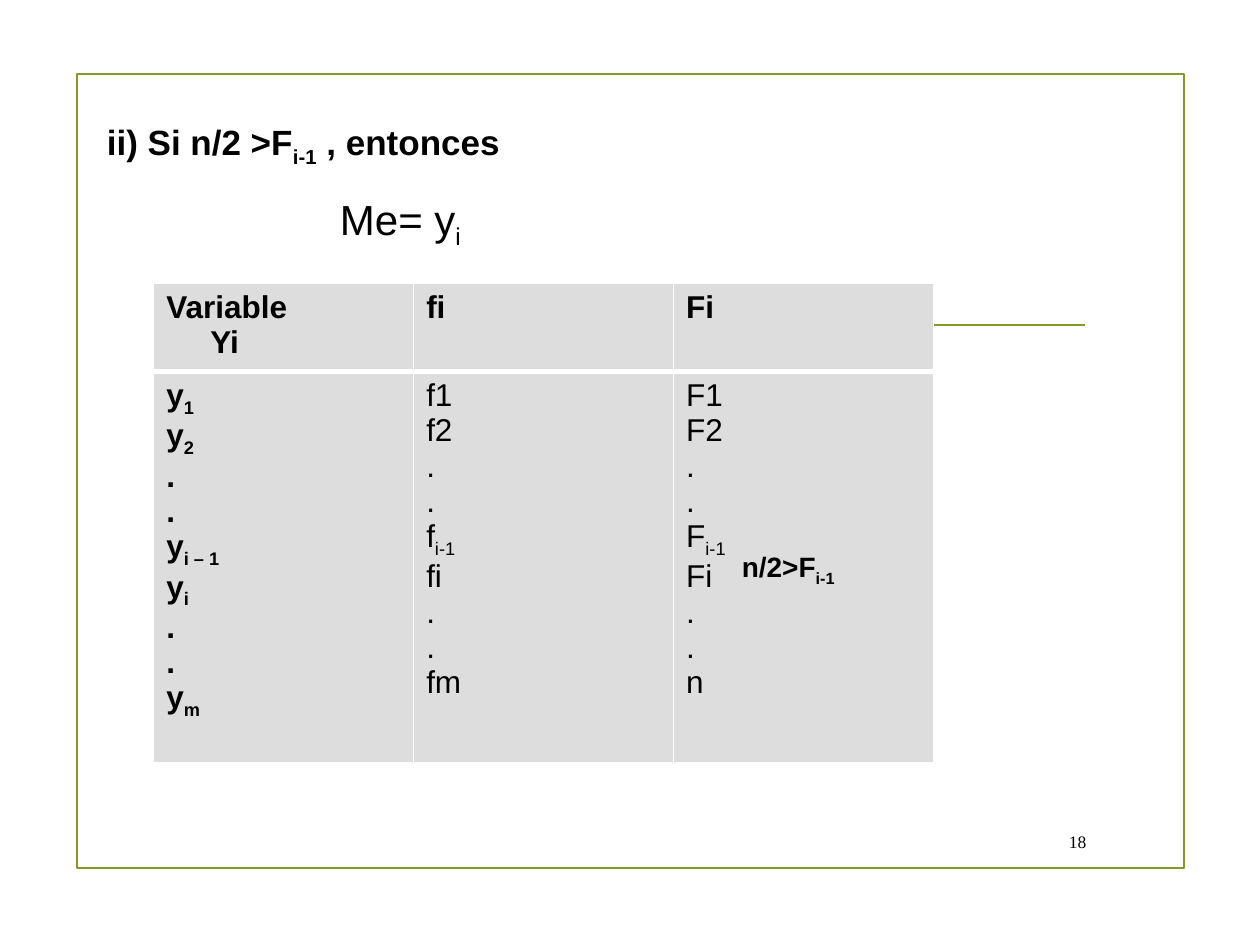
import pptx
import pptx.dml.color
import pptx.enum.shapes
import pptx.enum.text
import pptx.oxml
import pptx.util
from lxml import etree
from pptx.util import Inches

GREEN, BLACK, GREY, WHITE = "83992A", "000000", "DDDDDD", "FFFFFF"
DRAWING_NS = "http://schemas.openxmlformats.org/drawingml/2006/main"

HEADERS = [["Variable", "Yi"], ["fi"], ["Fi"]]
COLUMNS = [
    ["y_1", "y_2", ".", ".", "y_i – 1", "y_i", ".", ".", "y_m"],
    ["f1", "f2", ".", ".", "f_i-1", "fi", ".", ".", "fm"],
    ["F1", "F2", ".", ".", "F_i-1", "Fi", ".", ".", "n"],
]


def rgb(value):
    return pptx.dml.color.RGBColor.from_string(value)


def write_para(para, text, size, bold=False, font="Arial"):
    """Fill a paragraph; pieces between underscores become subscripts."""
    para.font.name = font
    para.font.size = pptx.util.Pt(size)
    para.font.bold = bold
    para.font.color.rgb = rgb(BLACK)
    for index, piece in enumerate(text.split("_")):
        span = para.add_run()
        span.text = piece
        if index % 2:
            span._r.get_or_add_rPr().set("baseline", "-25000")


def write_lines(frame, lines, size, bold=False):
    for index, line in enumerate(lines):
        para = frame.add_paragraph() if index else frame.paragraphs[0]
        write_para(para, line, size, bold)


def indent(para, length):
    properties = para._p.get_or_add_pPr()
    properties.set("marL", str(length))
    properties.set("indent", "0")


def add_text_box(page, left, top, width, height, wrap=True):
    box = page.shapes.add_textbox(Inches(left), Inches(top), Inches(width), Inches(height))
    box.text_frame.word_wrap = wrap
    return box.text_frame


def add_frame(page):
    frame = page.shapes.add_shape(
        pptx.enum.shapes.MSO_SHAPE.RECTANGLE,
        Inches(0.61), Inches(0.59), Inches(8.79), Inches(6.3))
    frame.shadow.inherit = False
    frame.fill.background()
    frame.line.color.rgb = rgb(GREEN)
    frame.line.width = pptx.util.Pt(1.25)


def add_rule(page):
    rule = page.shapes.add_connector(
        pptx.enum.shapes.MSO_CONNECTOR.STRAIGHT,
        Inches(1.4), Inches(2.58), Inches(8.61), Inches(2.58))
    rule.line.color.rgb = rgb(GREEN)
    rule.line.width = pptx.util.Pt(1.25)
    etree.SubElement(rule._element.spPr, f"{{{DRAWING_NS}}}effectLst")


def style_cell(cell, top, bottom):
    """Draw white borders, then the grey fill that must follow them."""
    properties = cell._tc.get_or_add_tcPr()
    for side, points in (("L", 1), ("R", 1), ("T", top), ("B", bottom)):
        properties.append(pptx.oxml.parse_xml(
            f'<a:ln{side} xmlns:a="{DRAWING_NS}" w="{pptx.util.Pt(points)}">'
            f'<a:solidFill><a:srgbClr val="{WHITE}"/></a:solidFill></a:ln{side}>'))
    cell.fill.solid()
    cell.fill.fore_color.rgb = rgb(GREY)


def add_frequency_table(page):
    table = page.shapes.add_table(
        2, 3, Inches(1.22), Inches(2.25), Inches(6.19), Inches(3.8)).table
    table.first_row = table.horz_banding = False
    table.rows[0].height = Inches(0.7)
    table.rows[1].height = Inches(3.1)
    for column, (header, values) in enumerate(zip(HEADERS, COLUMNS)):
        head, body = table.cell(0, column), table.cell(1, column)
        style_cell(head, top=1, bottom=3)
        style_cell(body, top=3, bottom=1)
        write_lines(head.text_frame, header, 18, bold=True)
        write_lines(body.text_frame, values, 18, bold=column == 0)
    indent(table.cell(0, 0).text_frame.paragraphs[1], Inches(0.35))


def add_statement(page):
    frame = add_text_box(page, 0.75, 0.91, 8.43, 1.2)
    condition, result = frame.paragraphs[0], frame.add_paragraph()
    write_para(condition, "ii) Si n/2 >F_i-1_ , entonces", 20, bold=True)
    write_para(result, "Me= y_i", 24)
    indent(result, Inches(1.85))
    for para, before in ((condition, 3), (result, 8)):
        para.space_before = pptx.util.Pt(before)
        para.space_after = pptx.util.Pt(6)


def add_page_number(page):
    frame = add_text_box(page, 8.29, 6.52, 0.43, 0.31)
    frame.vertical_anchor = pptx.enum.text.MSO_ANCHOR.MIDDLE
    para = frame.paragraphs[0]
    para.alignment = pptx.enum.text.PP_ALIGN.RIGHT
    write_para(para, "18", 10, font="Times New Roman")


def main():
    deck = pptx.Presentation()
    deck.slide_width, deck.slide_height = Inches(10), Inches(7.5)
    page = deck.slides.add_slide(deck.slide_layouts[6])
    add_frame(page)
    add_rule(page)
    add_statement(page)
    add_page_number(page)
    add_frequency_table(page)
    note = add_text_box(page, 5.79, 4.31, 1.02, 0.37, wrap=False)
    write_para(note.paragraphs[0], "n/2>F_i-1", 16, bold=True)
    deck.save("out.pptx")


if __name__ == "__main__":
    main()
